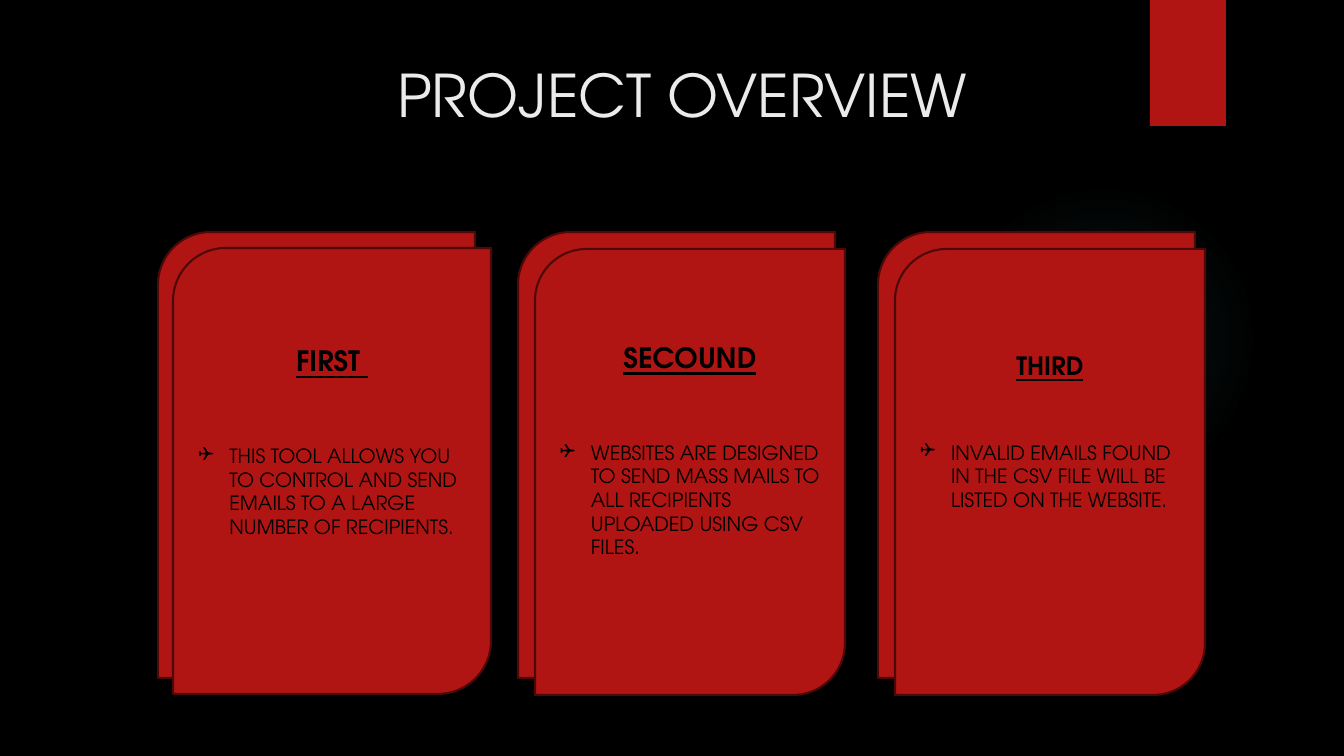
"""Build the project overview slide: a title and three layered cards."""
from lxml.etree import SubElement
from pptx import Presentation
from pptx.dml.color import RGBColor
from pptx.enum.shapes import MSO_SHAPE
from pptx.enum.text import MSO_ANCHOR, PP_ALIGN
from pptx.oxml import parse_xml
from pptx.oxml.ns import nsdecls, qn
from pptx.util import Emu, Pt

TITLE = "PROJECT OVERVIEW"
CARDS = [
    dict(head="FIRST ", size=20, gap=48, pad=80, front=(173, 248, 318),
         body="THIS TOOL ALLOWS YOU TO CONTROL AND SEND EMAILS TO A LARGE NUMBER OF RECIPIENTS."),
    dict(head="SECOUND", size=20, gap=48, pad=76, front=(535, 249, 310),
         body="WEBSITES ARE DESIGNED TO SEND MASS MAILS TO ALL RECIPIENTS UPLOADED USING CSV FILES."),
    dict(head="THIRD", size=18, gap=43, pad=86, front=(895, 249, 310),
         body="INVALID EMAILS FOUND IN THE CSV FILE WILL BE LISTED ON THE WEBSITE."),
]
THEME = dict(font="TeX Gyre Adventor", back="000000", red="B01513", edge="4D0908",
             light="EBEBEB", dark="000000", glow="50B9C1", title=42, body=14)
GLOW = [(0, 7), (36, 6), (69, 0)]
LEFT, STEP, TOP, WIDE, TALL = 158, 360, 232, 317, 446
HANG = 31


def px(num):
    return Emu(round(num * 914400 / 100.8))


def tint(key):
    return RGBColor.from_string(THEME[key])


def add_box(slide, kind, area, line=False):
    box = slide.shapes.add_shape(kind, *map(px, area))
    box.shadow.inherit = False
    box.fill.solid()
    box.fill.fore_color.rgb = tint("red")
    if line:
        box.line.color.rgb = tint("edge")
        box.line.width = Pt(1.5)
    else:
        box.line.fill.background()
    return box


def add_text(para, text, size, color="dark", align=PP_ALIGN.CENTER,
             bold=False, under=False, after=0, bullet=None):
    para.alignment = align
    para.space_after = Pt(after)
    run = para.add_run()
    run.text = text
    font = run.font
    font.name, font.size = THEME["font"], Pt(size)
    font.bold, font.underline = bold, under
    font.color.rgb = tint(color)
    if bullet:
        props = para._p.get_or_add_pPr()
        props.set("marL", str(px(HANG)))
        props.set("indent", str(-px(HANG)))
        SubElement(props, qn("a:buFont")).set("typeface", "Wingdings")
        SubElement(props, qn("a:buChar")).set("char", bullet)


def add_glow(slide):
    orb = add_box(slide, MSO_SHAPE.OVAL, (949, 184, 310, 310))
    stops = "".join(
        f'<a:gs pos="{pos * 1000}"><a:srgbClr val="{THEME["glow"]}">'
        f'<a:alpha val="{alpha * 1000}"/></a:srgbClr></a:gs>' for pos, alpha in GLOW)
    grad = parse_xml(
        f'<a:gradFill {nsdecls("a")}><a:gsLst>{stops}</a:gsLst><a:path path="circle">'
        '<a:fillToRect l="50000" t="50000" r="50000" b="50000"/></a:path></a:gradFill>')
    props = orb._element.spPr
    props.replace(props.find(qn("a:solidFill")), grad)


def add_title(slide):
    frame = slide.shapes.add_textbox(*map(px, (111, 52, 1142, 94))).text_frame
    frame.word_wrap = True
    frame.margin_top = px(7)
    add_text(frame.paragraphs[0], TITLE, THEME["title"], color="light")


def add_card(slide, index, card):
    kind = MSO_SHAPE.ROUND_2_DIAG_RECTANGLE
    add_box(slide, kind, (LEFT + index * STEP, TOP, WIDE, TALL), line=True)
    left, top, wide = card["front"]
    frame = add_box(slide, kind, (left, top, wide, TALL), line=True).text_frame
    frame.word_wrap = True
    frame.vertical_anchor = MSO_ANCHOR.TOP
    frame.margin_top = px(card["pad"])
    add_text(frame.paragraphs[0], card["head"], card["size"],
             bold=True, under=True, after=card["gap"])
    add_text(frame.add_paragraph(), card["body"], THEME["body"],
             align=PP_ALIGN.LEFT, bullet="❑")


def main():
    deck = Presentation()
    deck.slide_width, deck.slide_height = px(1344), px(756)
    slide = deck.slides.add_slide(deck.slide_layouts[6])
    slide.background.fill.solid()
    slide.background.fill.fore_color.rgb = tint("back")
    add_glow(slide)
    add_box(slide, MSO_SHAPE.RECTANGLE, (1150, 0, 76, 126))
    add_title(slide)
    for index, card in enumerate(CARDS):
        add_card(slide, index, card)
    deck.save("out.pptx")


if __name__ == "__main__":
    main()
